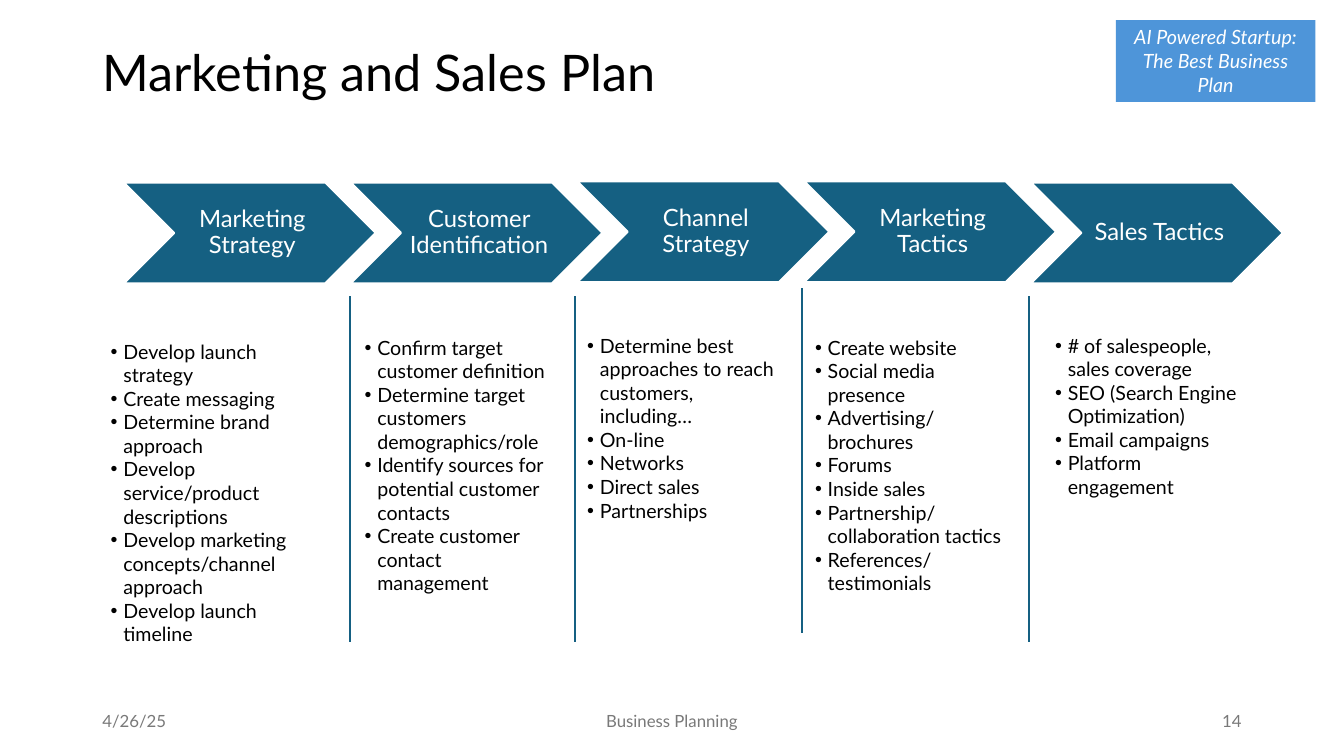
from dataclasses import dataclass
from typing import Optional

import lxml.etree
import pptx
import pptx.dml.color
import pptx.enum.shapes
import pptx.enum.text
import pptx.oxml.ns
import pptx.util

Cm = pptx.util.Cm
Align = pptx.enum.text.PP_ALIGN
Anchor = pptx.enum.text.MSO_ANCHOR
Preset = pptx.enum.shapes.MSO_SHAPE


@dataclass(frozen=True)
class Theme:
    font: str = "Lato"
    teal: str = "156082"
    blue: str = "4E95D9"
    white: str = "FFFFFF"
    black: str = "000000"
    grey: str = "797979"
    title_size: int = 36
    stage_size: int = 17
    body_size: int = 14
    footer_size: int = 12
    line_width: float = 1.5


@dataclass(frozen=True)
class Stage:
    """A step of the plan; lengths in centimetres."""
    name: str
    chevron_top: float
    list_left: float
    list_top: float
    list_width: float
    list_height: float
    tasks: tuple[str, ...]
    divider_x: Optional[float] = None
    divider_top: float = 7.47


@dataclass(frozen=True)
class FooterItem:
    text: str
    left: float
    width: float
    align: Align


THEME = Theme()
CHEVRON_LEFT, CHEVRON_PITCH = 3.12, 5.715
CHEVRON_WIDTH, CHEVRON_HEIGHT = 6.35, 2.54
DIVIDER_LENGTH = 8.7
BULLET_INDENT = 0.32
BOX_INSETS = (0.25, 0.13, 0.25, 0.13)
CHEVRON_INSETS = (0.18, 0.05, 0.05, 0.05)

STAGES = (
    Stage("Marketing Strategy", 4.6, 2.54, 8.43, 5.51, 8.65, (
        "Develop launch strategy", "Create messaging",
        "Determine brand approach", "Develop service/product descriptions",
        "Develop marketing concepts/channel approach",
        "Develop launch timeline"), 8.81),
    Stage("Customer Identification", 4.6, 8.94, 8.33, 5.33, 7.44, (
        "Confirm target customer definition",
        "Determine target customers demographics/role",
        "Identify sources for potential customer contacts",
        "Create customer contact management"), 14.48),
    Stage("Channel Strategy", 4.57, 14.55, 8.28, 5.33, 5.64, (
        "Determine best approaches to reach customers, including…",
        "On-line", "Networks", "Direct sales", "Partnerships"), 20.22, 7.26),
    Stage("Marketing Tactics", 4.57, 20.29, 8.33, 5.33, 6.83, (
        "Create website", "Social media presence", "Advertising/ brochures",
        "Forums", "Inside sales", "Partnership/ collaboration tactics",
        "References/ testimonials"), 25.93),
    Stage("Sales Tactics", 4.6, 26.34, 8.28, 5.33, 5.64, (
        "# of salespeople, sales coverage",
        "SEO (Search Engine Optimization)", "Email campaigns",
        "Platform engagement")),
)

FOOTER = (
    FooterItem("4/26/25", 2.33, 7.62, Align.LEFT),
    FooterItem("Business Planning", 11.22, 11.43, Align.CENTER),
    FooterItem("14", 23.92, 7.62, Align.RIGHT),
)


def rgb(colour: str) -> pptx.dml.color.RGBColor:
    return pptx.dml.color.RGBColor.from_string(colour)


def add_bullet(paragraph) -> None:
    properties = paragraph._p.get_or_add_pPr()
    indent = Cm(BULLET_INDENT)
    properties.set("marL", str(indent))
    properties.set("indent", str(-indent))
    qn = pptx.oxml.ns.qn
    lxml.etree.SubElement(properties, qn("a:buFont")).set("typeface", "Arial")
    lxml.etree.SubElement(properties, qn("a:buChar")).set("char", "•")


def write_text(shape, *lines: str, size: int, colour: str,
               align: Align = Align.LEFT, anchor: Anchor = Anchor.TOP,
               italic: bool = False, bullets: bool = False,
               spacing: float = 1.0,
               insets: tuple[float, ...] = BOX_INSETS) -> None:
    frame = shape.text_frame
    frame.word_wrap = True
    frame.vertical_anchor = anchor
    (frame.margin_left, frame.margin_top,
     frame.margin_right, frame.margin_bottom) = map(Cm, insets)
    for index, line in enumerate(lines):
        paragraph = frame.add_paragraph() if index else frame.paragraphs[0]
        paragraph.alignment = align
        paragraph.line_spacing = spacing
        if bullets:
            add_bullet(paragraph)
        run = paragraph.add_run()
        run.text = line
        run.font.name = THEME.font
        run.font.size = pptx.util.Pt(size)
        run.font.italic = italic
        run.font.color.rgb = rgb(colour)


def add_box(slide, left: float, top: float, width: float, height: float):
    return slide.shapes.add_textbox(Cm(left), Cm(top), Cm(width), Cm(height))


def add_filled(slide, preset: Preset, left: float, top: float, width: float,
               height: float, fill: str, outline: Optional[str] = None):
    shape = slide.shapes.add_shape(
        preset, Cm(left), Cm(top), Cm(width), Cm(height))
    shape.shadow.inherit = False
    shape.fill.solid()
    shape.fill.fore_color.rgb = rgb(fill)
    if outline:
        shape.line.color.rgb = rgb(outline)
        shape.line.width = pptx.util.Pt(THEME.line_width)
    else:
        shape.line.fill.background()
    return shape


def add_divider(slide, x: float, top: float) -> None:
    divider = slide.shapes.add_connector(
        pptx.enum.shapes.MSO_CONNECTOR.STRAIGHT,
        Cm(x), Cm(top), Cm(x), Cm(top + DIVIDER_LENGTH))
    divider.line.color.rgb = rgb(THEME.teal)
    divider.line.width = pptx.util.Pt(THEME.line_width)
    lxml.etree.SubElement(divider._element.spPr,
                          pptx.oxml.ns.qn("a:effectLst"))


def add_stage(slide, position: int, stage: Stage) -> None:
    chevron = add_filled(
        slide, Preset.CHEVRON, CHEVRON_LEFT + position * CHEVRON_PITCH,
        stage.chevron_top, CHEVRON_WIDTH, CHEVRON_HEIGHT,
        THEME.teal, THEME.white)
    write_text(chevron, stage.name, size=THEME.stage_size, colour=THEME.white,
               align=Align.CENTER, anchor=Anchor.MIDDLE, spacing=0.9,
               insets=CHEVRON_INSETS)
    if stage.divider_x is not None:
        add_divider(slide, stage.divider_x, stage.divider_top)
    task_list = add_box(slide, stage.list_left, stage.list_top,
                        stage.list_width, stage.list_height)
    write_text(task_list, *stage.tasks, size=THEME.body_size,
               colour=THEME.black, bullets=True)


def main() -> None:
    deck = pptx.Presentation()
    deck.slide_width, deck.slide_height = Cm(33.87), Cm(19.05)
    slide = deck.slides.add_slide(deck.slide_layouts[6])

    # Corner tag and title
    tag = add_filled(slide, Preset.RECTANGLE, 28.12, 0.51, 5.03, 2.06,
                     THEME.blue)
    write_text(tag, "AI Powered Startup:", "The Best Business Plan",
               size=THEME.body_size, colour=THEME.white,
               align=Align.CENTER, italic=True)
    title = add_box(slide, 2.33, 1.02, 29.21, 1.73)
    write_text(title, "Marketing and Sales Plan", size=THEME.title_size,
               colour=THEME.black, anchor=Anchor.MIDDLE, spacing=0.9)

    # Stages with their task lists
    for position, stage in enumerate(STAGES):
        add_stage(slide, position, stage)

    # Footer
    for item in FOOTER:
        box = add_box(slide, item.left, 17.65, item.width, 1.02)
        write_text(box, item.text, size=THEME.footer_size, colour=THEME.grey,
                   align=item.align, anchor=Anchor.MIDDLE)

    deck.save("out.pptx")


if __name__ == "__main__":
    main()
